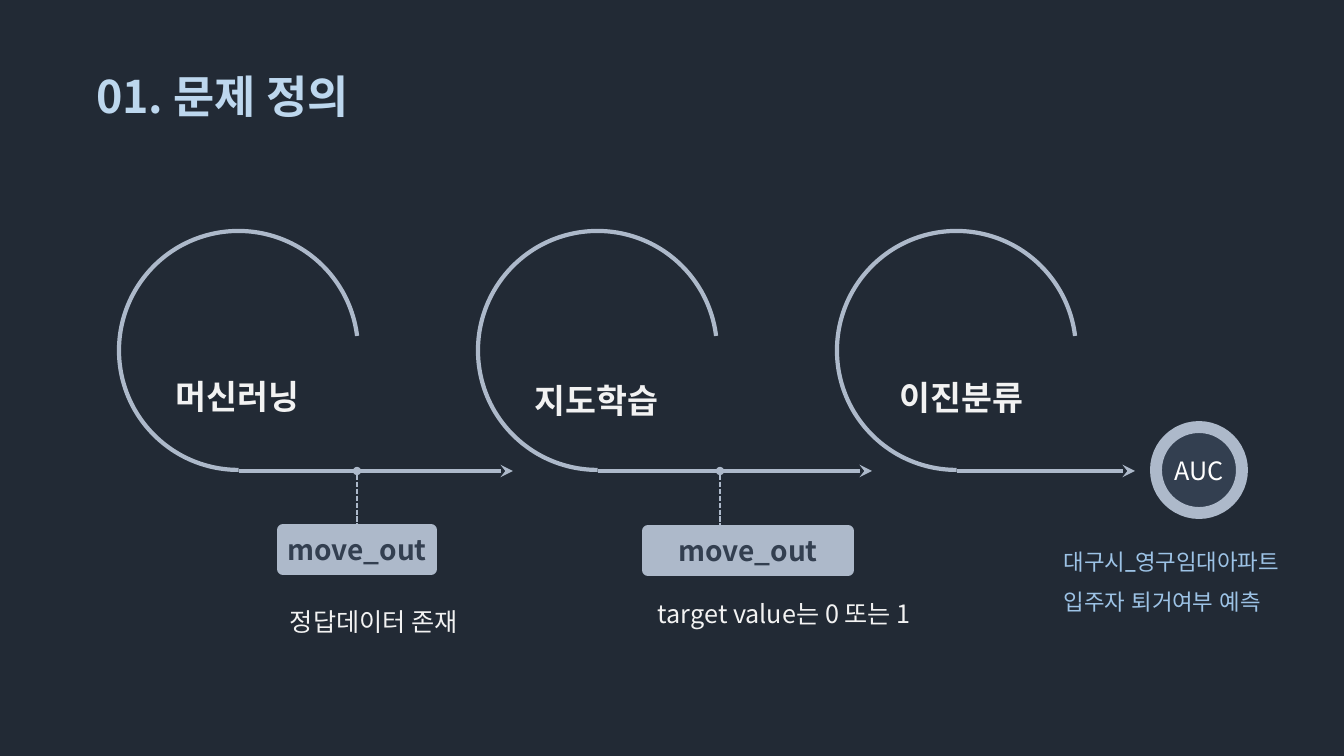
"""Builds the problem definition slide: three learning stages leading to the AUC metric."""
from lxml import etree
from pptx import Presentation
from pptx import util as u
from pptx.dml.color import RGBColor
from pptx.enum import dml, shapes, text
from pptx.oxml.ns import qn

PX = 914400 / 100.8
KOREAN = "Noto Sans CJK KR"
STEEL, NAVY, PALE = "ADB9CA", "333F50", "F2F2F2"
color = RGBColor.from_string


def px(*lengths):
    return [u.Emu(round(length * PX)) for length in lengths]


def write(frame, lines, size, ink, bold=False, font=KOREAN, spacing=1.5, align=text.PP_ALIGN.LEFT):
    frame.text = "\n".join(lines)
    for paragraph in frame.paragraphs:
        paragraph.alignment = align
        paragraph.line_spacing = spacing
        for run in paragraph.runs:
            run.font.size = u.Pt(size)
            run.font.bold = bold
            run.font.name = font
            run.font.color.rgb = color(ink)
            latin = run.font._element.find(qn("a:latin"))
            east_asian = etree.Element(qn("a:ea"), typeface=font)
            latin.addnext(east_asian)


prs = Presentation()
prs.slide_width, prs.slide_height = px(1344, 756)
slide = prs.slides.add_slide(prs.slide_layouts[5])
slide.background.fill.solid()
slide.background.fill.fore_color.rgb = color("222A35")

title = slide.shapes.title
title.left, title.top, title.width, title.height = px(86, 37, 498, 81)
title.text_frame.vertical_anchor = text.MSO_ANCHOR.TOP
title.text_frame.word_wrap = True
title.text_frame.auto_size = text.MSO_AUTO_SIZE.SHAPE_TO_FIT_TEXT
write(title.text_frame, ["01. 문제 정의"], 32, "BDD7EE", bold=True)

LOOP_LEFT, LOOP_TOP, LOOP_SIZE, LOOP_PITCH = 119, 231, 239, 359
FLOW_Y = 471
stages = [
    ("머신러닝", 166, 351, 168, 274),
    ("지도학습", 525, 355, 168, 274),
    ("이진분류", 890, 352, 156, 178),
]
flow_lines = []
for i, (stage, left, top, width, reach) in enumerate(stages):
    loop_left = LOOP_LEFT + i * LOOP_PITCH
    loop = slide.shapes.add_shape(
        shapes.MSO_SHAPE.ARC, *px(loop_left, LOOP_TOP, LOOP_SIZE, LOOP_SIZE))
    loop.adjustments[0] = 53.942
    loop.adjustments[1] = 211.828
    loop.shadow.inherit = False
    loop.fill.background()
    loop.line.color.rgb = color(STEEL)
    loop.line.width = u.Pt(3)

    start = loop_left + 120
    arrow = slide.shapes.add_connector(
        shapes.MSO_CONNECTOR.STRAIGHT, *px(start, FLOW_Y, start + reach, FLOW_Y))
    flow_lines.append((arrow, 3, "tailEnd", "stealth"))

    stage_name = slide.shapes.add_textbox(*px(left, top, width, 64)).text_frame
    stage_name.word_wrap = False
    stage_name.auto_size = text.MSO_AUTO_SIZE.SHAPE_TO_FIT_TEXT
    write(stage_name, [stage], 24, PALE, bold=True)

drops = [slide.shapes.add_connector(shapes.MSO_CONNECTOR.STRAIGHT, *px(x, FLOW_Y, x, 570))
         for x in (357, 720)]
for drop in drops:
    drop.line.dash_style = dml.MSO_LINE.SQUARE_DOT
    flow_lines.append((drop, 1.25, "headEnd", "oval"))

for line, weight, end, head in flow_lines:
    line.line.color.rgb = color(STEEL)
    line.line.width = u.Pt(weight)
    etree.SubElement(line.line._get_or_add_ln(), qn(f"a:{end}"), type=head)
    etree.SubElement(line._element.spPr, qn("a:effectLst"))

badges = [
    (shapes.MSO_SHAPE.OVAL, (1156, 427, 86, 86), "AUC", 18, NAVY, "FFFFFF", False),
    (shapes.MSO_SHAPE.RECTANGLE, (283, 530, 148, 39), "move_out", 20, STEEL, NAVY, True),
    (shapes.MSO_SHAPE.RECTANGLE, (648, 531, 200, 39), "move_out", 20, STEEL, NAVY, True),
]
placed = []
for kind, box, label, size, fill, ink, bold in badges:
    badge = slide.shapes.add_shape(kind, *px(*box))
    badge.shadow.inherit = False
    badge.fill.solid()
    badge.fill.fore_color.rgb = color(fill)
    badge.line.color.rgb = color(STEEL)
    badge.line.width = u.Pt(8.5)
    badge.text_frame.word_wrap = False
    badge.text_frame.vertical_anchor = text.MSO_ANCHOR.MIDDLE
    write(badge.text_frame, [label], size, ink, bold, spacing=1.0, align=text.PP_ALIGN.CENTER)
    placed.append(badge)
drops[0].end_connect(placed[1], 2)

captions = [
    ((280, 586, 465, 50), ["정답데이터 존재"], 18, PALE, KOREAN),
    ((648, 578, 465, 50), ["target value는 0 또는 1"], 18, PALE, KOREAN),
    ((1054, 530, 339, 87), ["대구시_영구임대아파트", "입주자 퇴거여부 예측"], 16, "9DC3E6", "Inter"),
]
for box, lines, size, ink, font in captions:
    caption = slide.shapes.add_textbox(*px(*box)).text_frame
    caption.word_wrap = True
    caption.auto_size = text.MSO_AUTO_SIZE.SHAPE_TO_FIT_TEXT
    write(caption, lines, size, ink, font=font)

prs.save("out.pptx")
